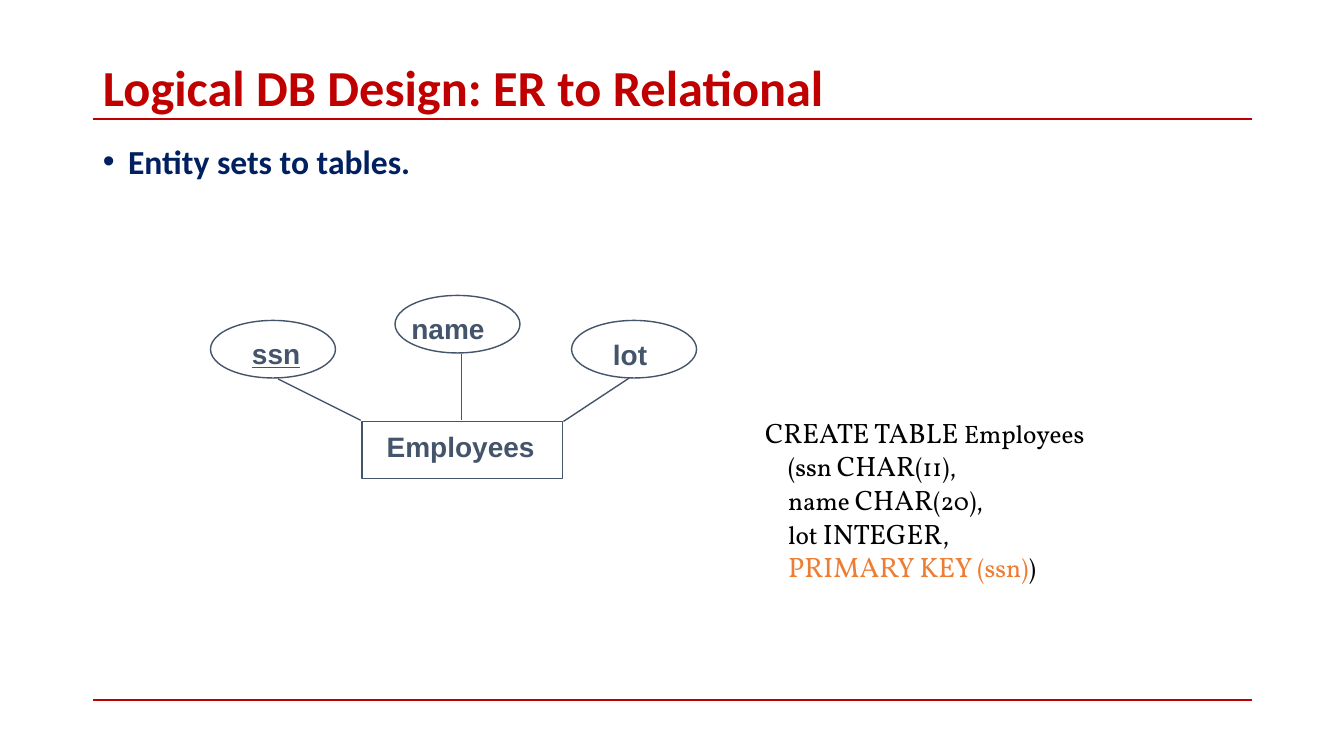
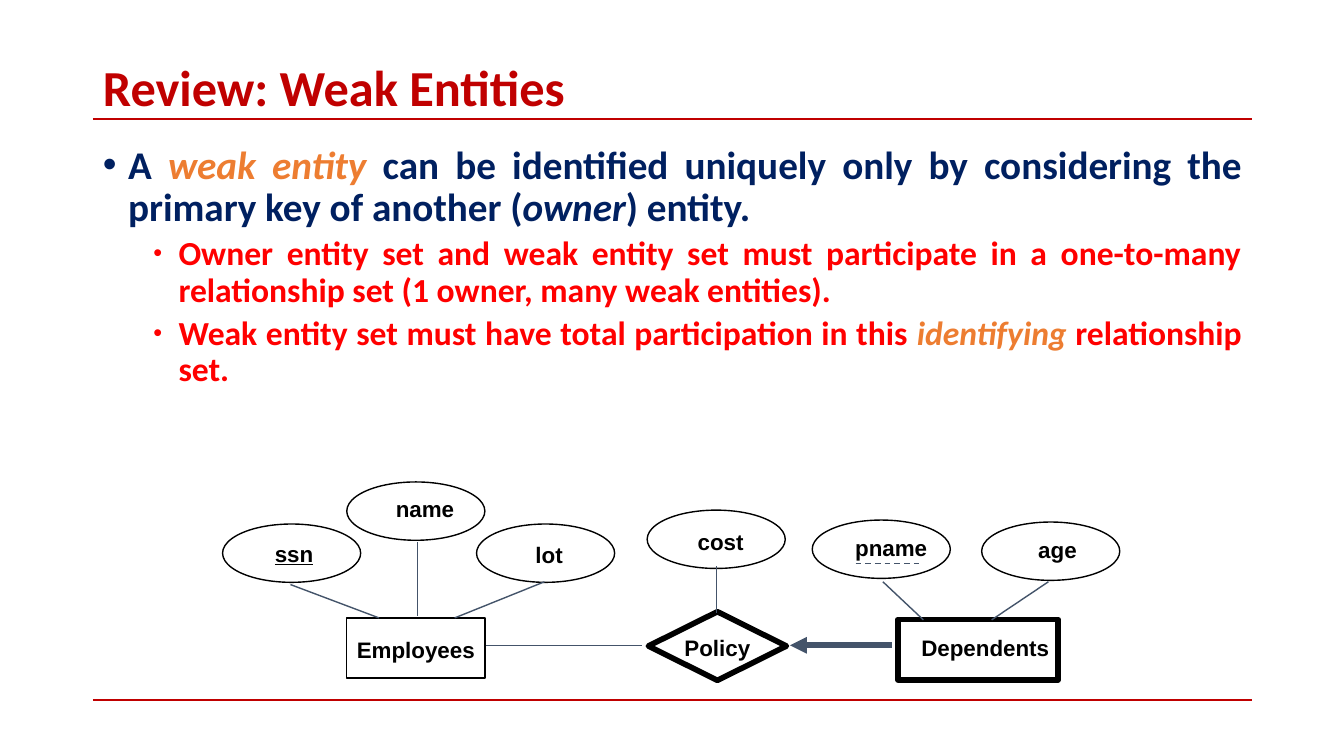
from lxml import etree
from pptx import Presentation
from pptx.dml.color import RGBColor
from pptx.enum.dml import MSO_LINE
from pptx.enum.shapes import MSO_CONNECTOR, MSO_SHAPE
from pptx.enum.text import MSO_ANCHOR, MSO_AUTO_SIZE, PP_ALIGN
from pptx.oxml.ns import qn
from pptx.util import Cm, Pt

STRAIGHT = MSO_CONNECTOR.STRAIGHT
DASH = MSO_LINE.DASH
OVAL, RECT, DIAMOND = MSO_SHAPE.OVAL, MSO_SHAPE.RECTANGLE, MSO_SHAPE.DIAMOND
MIDDLE, TOP = MSO_ANCHOR.MIDDLE, MSO_ANCHOR.TOP
NO_FIT = MSO_AUTO_SIZE.NONE
LEFT, CENTER, JUSTIFY = PP_ALIGN.LEFT, PP_ALIGN.CENTER, PP_ALIGN.JUSTIFY

COLORS = {
    "title": "C00000",
    "body": "002060",
    "sub": "FF0000",
    "accent": "ED7D31",
    "slate": "44546A",
    "black": "000000",
}
HEADING_FONT, LABEL_FONT, CODE_FONT = "Calibri", "Arial", "Vollkorn"
MARGIN, CONTENT_W = 2.34, 29.21
RULES_Y = (3.0, 17.65)
INDENT = 0.635


def rgb(name):
    return RGBColor.from_string(COLORS[name])


def write(p, text, font=HEADING_FONT, size=24, color="body", bold=True,
          italic=False, underline=False):
    r = p.add_run()
    r.text = text
    f = r.font
    f.name, f.size, f.bold = font, Pt(size), bold
    f.italic, f.underline = italic, underline
    f.color.rgb = rgb(color)


def place(sp, x, y, w, h):
    sp.left, sp.top, sp.width, sp.height = Cm(x), Cm(y), Cm(w), Cm(h)


def add_line(s, start, end, color="slate", width=1, dash=None, arrow=False):
    line = s.shapes.add_connector(STRAIGHT, *(Cm(v) for v in start + end))
    line.line.color.rgb = rgb(color)
    line.line.width = Pt(width)
    if dash:
        line.line.dash_style = dash
    if arrow:
        ln = line.line._get_or_add_ln()
        etree.SubElement(ln, qn("a:tailEnd"), type="triangle")
    etree.SubElement(line.element.spPr, qn("a:effectLst"))
    return line


def add_textbox(s, x, y, w, h, anchor=TOP):
    tf = s.shapes.add_textbox(Cm(x), Cm(y), Cm(w), Cm(h)).text_frame
    tf.word_wrap = True
    tf.vertical_anchor = anchor
    return tf


def add_node(s, kind, center, size, label, shift, color, font_size,
             width=1, underline=False):
    (cx, cy), (w, h), (dx, dy) = center, size, shift
    x, y = cx - w / 2, cy - h / 2
    sp = s.shapes.add_shape(kind, Cm(x), Cm(y), Cm(w), Cm(h))
    sp.shadow.inherit = False
    sp.fill.background()
    sp.line.color.rgb = rgb(color)
    sp.line.width = Pt(width)
    tf = add_textbox(s, x + dx, y + dy, w, h, MIDDLE)
    tf.word_wrap = False
    p = tf.paragraphs[0]
    p.alignment = CENTER
    write(p, label, LABEL_FONT, font_size, color, underline=underline)


def add_bullet(p, runs, size, color, level=0, align=LEFT):
    p.level = level
    p.alignment = align
    p.line_spacing = 0.9
    p.space_before = Pt(5 if level else 10)
    pPr = p._p.get_or_add_pPr()
    pPr.set("marL", str(Cm(INDENT * (1 + 2 * level))))
    pPr.set("indent", str(-Cm(INDENT)))
    if level:
        etree.SubElement(pPr, qn("a:buSzPct"), val="75000")
    etree.SubElement(pPr, qn("a:buFont"), typeface="Arial")
    etree.SubElement(pPr, qn("a:buChar"), char="•")
    for text, fmt in runs:
        write(p, text, **{"size": size, "color": color, **fmt})


def set_up_layout(layout):
    title, body = layout.placeholders[0], layout.placeholders[1]
    place(title, MARGIN, 1.55, CONTENT_W, 1.47)
    place(body, MARGIN, 3.53, CONTENT_W, 13.64)


def add_rules(s, layout):
    for i, y in enumerate(RULES_Y):
        rule = add_line(s, (MARGIN, y), (MARGIN + CONTENT_W, y), "title", 1.5)
        rule.element.nvCxnSpPr.cNvPr.set("id", str(100 + i))
        layout.shapes.element.append(rule.element)


def add_slide(prs, layout, title, bullets):
    s = prs.slides.add_slide(layout)
    tf = s.shapes.title.text_frame
    tf.auto_size = NO_FIT
    tf.vertical_anchor = MIDDLE
    p = tf.paragraphs[0]
    p.alignment = LEFT
    p.line_spacing = 0.9
    write(p, title, size=36, color="title")
    tf = s.placeholders[1].text_frame
    tf.auto_size = NO_FIT
    for i, bullet in enumerate(bullets):
        p = tf.add_paragraph() if i else tf.paragraphs[0]
        add_bullet(p, **bullet)
    return s


def add_sql(s):
    tf = add_textbox(s, 19.03, 10.34, 10.6, 4.52)
    plain, keyword = {"size": 18}, {"size": 20}
    accent = {"color": "accent"}
    lines = [
        [("CREATE TABLE ", keyword), ("Employees", plain)],
        [("(ssn ", plain), ("CHAR", keyword), ("(11),", plain)],
        [("name ", plain), ("CHAR", keyword), ("(20),", plain)],
        [("lot ", plain), ("INTEGER", keyword), (",", plain)],
        [("PRIMARY KEY ", keyword | accent), ("(ssn)", plain | accent),
         (")", plain)],
    ]
    for i, runs in enumerate(lines):
        p = tf.add_paragraph() if i else tf.paragraphs[0]
        if i:
            p._p.get_or_add_pPr().set("marL", str(Cm(0.58)))
        for text, fmt in runs:
            write(p, text, CODE_FONT, bold=False, **{"color": "black", **fmt})


def add_employee_diagram(s):
    oval = (3.15, 1.45)
    nodes = [
        (RECT, (11.65, 11.34), (5.05, 1.45), "Employees", (-0.04, -0.1)),
        (OVAL, (6.88, 8.8), oval, "ssn", (0.08, 0.1)),
        (OVAL, (11.53, 8.17), oval, "name", (-0.24, 0.1)),
        (OVAL, (15.98, 8.8), oval, "lot", (-0.1, 0.13)),
    ]
    for node in nodes:
        add_node(s, *node, "slate", 20, underline=node[3] == "ssn")
    for start, end in [
        ((7.01, 9.55), (9.09, 10.59)),
        ((11.63, 8.92), (11.63, 10.59)),
        ((14.2, 10.62), (15.85, 9.53)),
    ]:
        add_line(s, start, end)


def add_weak_entity_diagram(s):
    oval = (3.48, 1.47)
    nodes = [
        (OVAL, (7.35, 13.94), oval, "ssn", (0.06, 0), 1),
        (OVAL, (10.48, 12.88), oval, "name", (0.23, -0.06), 1),
        (OVAL, (13.75, 13.94), oval, "lot", (0.09, 0.04), 1),
        (OVAL, (18.05, 13.59), oval, "cost", (0.11, 0.06), 1),
        (OVAL, (22.21, 13.84), oval, "pname", (0.25, -0.03), 1),
        (OVAL, (26.48, 13.89), oval, "age", (0.17, -0.05), 1),
        (RECT, (10.48, 16.33), (3.48, 1.52), "Employees", (0, 0.03), 1),
        (DIAMOND, (18.08, 16.28), (3.48, 1.73), "Policy", (0, 0.04), 4),
        (RECT, (24.65, 16.37), (4.04, 1.52), "Dependents", (0.18, -0.06), 4),
    ]
    for *node, width in nodes:
        add_node(s, *node, "black", 16, width, underline=node[3] == "ssn")
    for start, end in [
        ((7.32, 14.73), (9.55, 15.57)),
        ((10.52, 13.67), (10.52, 15.52)),
        ((13.72, 14.66), (11.46, 15.57)),
        ((18.06, 14.27), (18.06, 15.44)),
        ((22.25, 14.66), (23.27, 15.62)),
        ((26.42, 14.66), (24.99, 15.62)),
        ((12.24, 16.26), (16.18, 16.26)),
    ]:
        add_line(s, start, end)
    add_line(s, (21.56, 14.2), (23.24, 14.2), dash=DASH)
    add_line(s, (22.48, 16.26), (19.91, 16.26), width=4, arrow=True)


def main():
    prs = Presentation()
    prs.slide_width, prs.slide_height = Cm(33.87), Cm(19.05)
    layout = prs.slide_layouts[1]
    set_up_layout(layout)

    s = add_slide(prs, layout, "Logical DB Design: ER to Relational", [
        {"runs": [("Entity sets to tables.", {})], "size": 24,
         "color": "body"},
    ])
    add_rules(s, layout)
    add_sql(s)
    add_employee_diagram(s)

    term = {"color": "accent", "italic": True}
    main_point = {"size": 28, "color": "body", "align": JUSTIFY}
    sub_point = {"size": 24, "color": "sub", "level": 1, "align": JUSTIFY}
    s = add_slide(prs, layout, "Review: Weak Entities", [
        {"runs": [
            ("A ", {}),
            ("weak entity ", term),
            ("can be identified uniquely only by considering the primary key "
             "of another (", {}),
            ("owner", {"italic": True}),
            (") entity.", {}),
        ], **main_point},
        {"runs": [
            ("Owner entity set and weak entity set must participate in a "
             "one-to-many relationship set (1 owner, many weak entities).",
             {}),
        ], **sub_point},
        {"runs": [
            ("Weak entity set must have total participation in this ", {}),
            ("identifying ", term),
            ("relationship set.", {}),
        ], **sub_point},
    ])
    add_weak_entity_diagram(s)
    prs.save("out.pptx")


if __name__ == "__main__":
    main()
